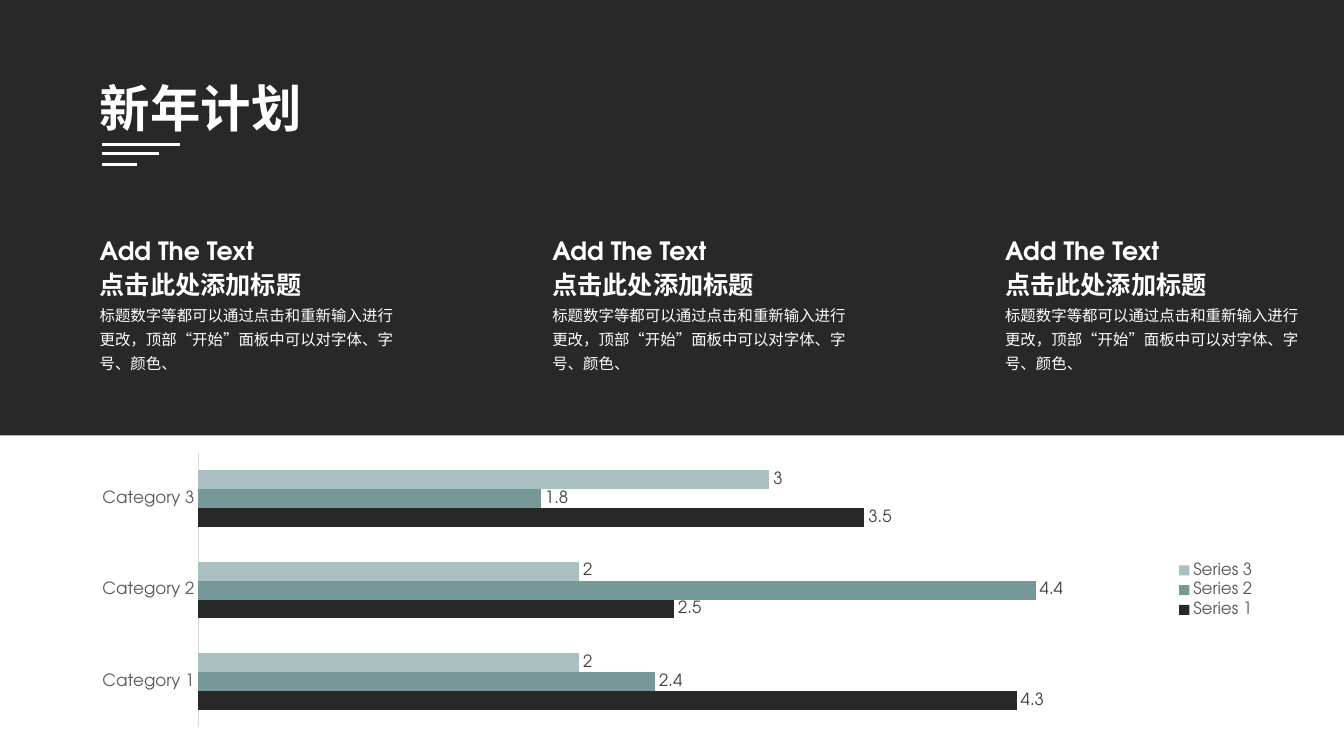
"""Build a New Year plan slide with three text columns above a clustered bar chart."""
from dataclasses import dataclass

import pptx
import pptx.chart.data
import pptx.dml.color
import pptx.enum.chart
import pptx.enum.shapes
import pptx.enum.text
import pptx.oxml
import pptx.oxml.ns
import pptx.util
from pptx.util import Inches


@dataclass(frozen=True)
class Theme:
    dark: str = "282828"
    white: str = "FFFFFF"
    teal: str = "769899"
    pale_teal: str = "AABFC0"
    axis_line: str = "D9D9D9"
    axis_text: str = "595959"
    label_text: str = "404040"
    latin_font: str = "TeX Gyre Adventor"
    chinese_font: str = "Noto Sans CJK SC"
    title_size: int = 36
    heading_size: int = 18
    body_size: int = 11
    chart_size: int = 12


theme = Theme()


def style_font(font, size, color, name=theme.latin_font, bold=False):
    font.name = name
    font.size = pptx.util.Pt(size)
    font.bold = bold
    font.color.rgb = pptx.dml.color.RGBColor.from_string(color)


def write_text(shape, text, size, spacing, name=theme.latin_font, bold=True, wrap=True):
    frame = shape.text_frame
    frame.text = text
    frame.word_wrap = wrap
    frame.auto_size = pptx.enum.text.MSO_AUTO_SIZE.NONE
    frame.vertical_anchor = pptx.enum.text.MSO_ANCHOR.TOP
    paragraph = frame.paragraphs[0]
    paragraph.alignment = pptx.enum.text.PP_ALIGN.LEFT
    paragraph.line_spacing = spacing
    paragraph.space_before = pptx.util.Pt(0)
    style_font(paragraph.font, size, theme.white, name, bold)
    latin = next(paragraph._p.iter(pptx.oxml.ns.qn("a:latin")))
    east_asian = pptx.oxml.parse_xml(f'<a:ea {pptx.oxml.ns.nsdecls("a")} typeface="{theme.chinese_font}"/>')
    latin.addnext(east_asian)


presentation = pptx.Presentation()
presentation.slide_width = Inches(13.33)
presentation.slide_height = Inches(7.5)
slide = presentation.slides.add_slide(presentation.slide_layouts[5])
slide.background.fill.solid()
slide.background.fill.fore_color.rgb = pptx.dml.color.RGBColor.from_string(theme.dark)

panel = slide.shapes.add_shape(
    pptx.enum.shapes.MSO_SHAPE.RECTANGLE, Inches(0), Inches(4.32), Inches(13.33), Inches(3.18)
)
panel.shadow.inherit = False
panel.fill.solid()
panel.fill.fore_color.rgb = pptx.dml.color.RGBColor.from_string(theme.white)
panel.line.fill.background()

title = slide.shapes.title
title.left, title.top, title.width, title.height = Inches(0.89), Inches(0.78), Inches(3.94), Inches(0.65)
write_text(title, "新年计划", theme.title_size, 0.9)

for top, length in ((1.43, 0.78), (1.52, 0.57), (1.63, 0.35)):
    rule = slide.shapes.add_connector(
        pptx.enum.shapes.MSO_CONNECTOR.STRAIGHT, Inches(1.01), Inches(top), Inches(1.01 + length), Inches(top)
    )
    rule.line.color.rgb = pptx.dml.color.RGBColor.from_string(theme.white)
    rule.line.width = pptx.util.Pt(2.25)
    rule._element.spPr.append(pptx.oxml.parse_xml(f'<a:effectLst {pptx.oxml.ns.nsdecls("a")}/>'))

body_text = "标题数字等都可以通过点击和重新输入进行更改，顶部“开始”面板中可以对字体、字号、颜色、"
for column in range(3):
    left = Inches(0.89 + 4.49 * column)
    for text, top, width in (("Add The Text", 2.2, 1.76), ("点击此处添加标题", 2.53, 2.22)):
        heading = slide.shapes.add_textbox(left, Inches(top), Inches(width), Inches(0.45))
        write_text(heading, text, theme.heading_size, 1.3, wrap=False)
    body = slide.shapes.add_textbox(left, Inches(2.93), Inches(3.13), Inches(0.82))
    write_text(body, body_text, theme.body_size, 1.3, theme.chinese_font, bold=False)

chart_data = pptx.chart.data.CategoryChartData()
chart_data.categories = ["Category 1", "Category 2", "Category 3"]
chart_data.add_series("Series 1", (4.3, 2.5, 3.5))
chart_data.add_series("Series 2", (2.4, 4.4, 1.8))
chart_data.add_series("Series 3", (2, 2, 3))
chart = slide.shapes.add_chart(
    pptx.enum.chart.XL_CHART_TYPE.BAR_CLUSTERED,
    Inches(0.78), Inches(4.44), Inches(11.78), Inches(2.83), chart_data,
).chart
style_font(chart.font, theme.chart_size, theme.axis_text)
chart.has_title = False
chart.has_legend = True
chart.legend.position = pptx.enum.chart.XL_LEGEND_POSITION.RIGHT
chart.legend.include_in_layout = False
style_font(chart.legend.font, theme.chart_size, theme.axis_text)

category_axis = chart.category_axis
category_axis.major_tick_mark = pptx.enum.chart.XL_TICK_MARK.NONE
category_axis.format.line.color.rgb = pptx.dml.color.RGBColor.from_string(theme.axis_line)
category_axis.format.line.width = pptx.util.Pt(0.75)
style_font(category_axis.tick_labels.font, theme.chart_size, theme.axis_text)
value_axis = chart.value_axis
value_axis.minimum_scale = 0
value_axis.maximum_scale = 5
value_axis.has_major_gridlines = False
value_axis.visible = False

plot = chart.plots[0]
plot.gap_width = 182
plot.vary_by_categories = False
for series, color in zip(plot.series, (theme.dark, theme.teal, theme.pale_teal)):
    series.format.fill.solid()
    series.format.fill.fore_color.rgb = pptx.dml.color.RGBColor.from_string(color)
    labels = series.data_labels
    labels.show_value = True
    labels.position = pptx.enum.chart.XL_LABEL_POSITION.OUTSIDE_END
    style_font(labels.font, theme.chart_size, theme.label_text)

presentation.save("out.pptx")
